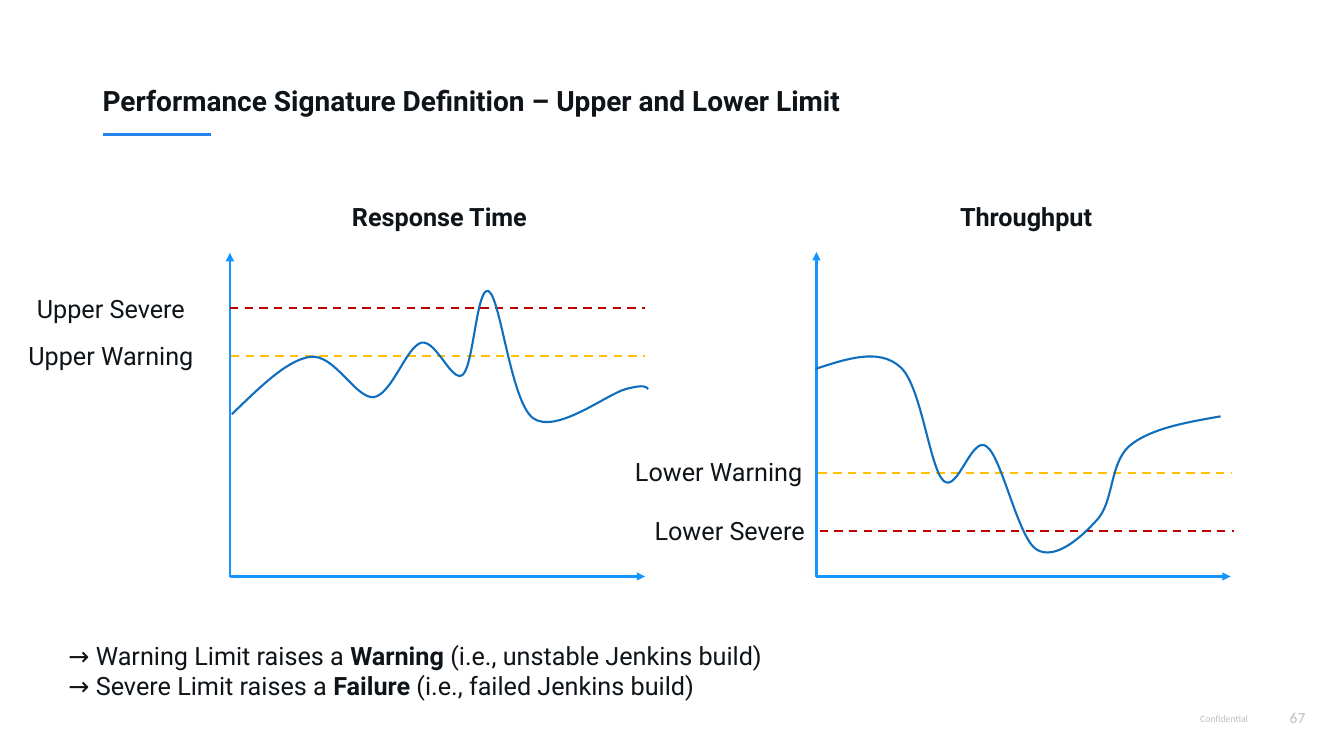
from lxml import etree
from pptx import Presentation
from pptx.dml.color import RGBColor
from pptx.enum.dml import MSO_LINE
from pptx.enum.shapes import MSO_CONNECTOR
from pptx.enum.text import MSO_ANCHOR, PP_ALIGN
from pptx.oxml.ns import qn
from pptx.util import Pt

STRAIGHT = MSO_CONNECTOR.STRAIGHT
DASH = MSO_LINE.DASH
BOTTOM, TOP = MSO_ANCHOR.BOTTOM, MSO_ANCHOR.TOP
LEFT, CENTER, RIGHT = PP_ALIGN.LEFT, PP_ALIGN.CENTER, PP_ALIGN.RIGHT
INK, GRAY, ACCENT, AXIS = "0F1419", "BFBFBF", "2583EE", "1495FF"
WARNING, SEVERE, CURVE = "FFC000", "C00000", "0F6EBD"


def add_text(box, lines, size, align=CENTER, color=INK, font="Roboto",
             bold=None, spacing=None, anchor=TOP):
    """Write lines, each a list of (text, bold) runs, in a box of points."""
    frame = slide.shapes.add_textbox(*map(Pt, box)).text_frame
    frame.word_wrap = True
    frame.vertical_anchor = anchor
    for index, line in enumerate(lines):
        paragraph = frame.paragraphs[0] if index == 0 else frame.add_paragraph()
        paragraph.alignment = align
        paragraph.line_spacing = spacing
        paragraph.font.name = font
        paragraph.font.size = Pt(size)
        paragraph.font.bold = bold
        paragraph.font.color.rgb = RGBColor.from_string(color)
        for text, emphasis in line:
            run = paragraph.add_run()
            run.text = text
            if emphasis:
                run.font.bold = True


def add_line(start, end, color, width=1.5, dash=None, arrow=False):
    line = slide.shapes.add_connector(STRAIGHT, *map(Pt, start + end))
    line.line.color.rgb = RGBColor.from_string(color)
    line.line.width = Pt(width)
    if dash:
        line.line.dash_style = dash
    if arrow:
        etree.SubElement(line.line._get_or_add_ln(), qn("a:tailEnd"), type="triangle")
    etree.SubElement(line._element.spPr, qn("a:effectLst"))


prs = Presentation()
prs.slide_width, prs.slide_height = Pt(960), Pt(540)
slide = prs.slides.add_slide(prs.slide_layouts[6])

add_line((73.5, 96), (150.5, 96), ACCENT, width=2.25)
add_text((808.5, 504, 90, 16.5), [[("Confidential", False)]], 7,
         RIGHT, GRAY, "Calibri", spacing=1.2)
add_text((911, 499.5, 28.5, 22.5), [[("67", False)]], 11,
         RIGHT, GRAY, "Calibri", spacing=1.2)
add_text((66.2, 28.8, 766.8, 58.3),
         [[("Performance Signature Definition – Upper and Lower Limit", False)]],
         20, LEFT, bold=True, spacing=1.2, anchor=BOTTOM)

# Limits: label, label left and top, line start, line end, line height, colour.
# Curve: start point, then two control points and an end point per segment.
charts = [
    ("Response Time", 240.5, 164.2, 460.8, 180.7,
     [("Upper Warning", 5.8, 239.8, 165, 460.8, 254.5, WARNING),
      ("Upper Severe", 5.8, 205.9, 164.2, 460.8, 220.3, SEVERE)],
     [(165.6, 295.9),
      (185.8, 276.5), (205.2, 257), (221.8, 254.9),
      (239, 252.7), (254.2, 285.1), (267.1, 283.7),
      (280.1, 281.5), (290.2, 247.7), (301, 244.8),
      (311.8, 242.6), (322.6, 273.6), (330.5, 267.8),
      (338.4, 261.4), (340.6, 203), (349.2, 208.1),
      (357.8, 213.8), (365, 287.3), (380.9, 298.8),
      (397.4, 310.3), (433.4, 281.5), (447.1, 277.9),
      (460.8, 274.3), (461.5, 276.5), (463, 277.9)]),
    ("Throughput", 659.5, 583.2, 879.1, 180,
     [("Lower Warning", 439.9, 322.6, 584.6, 879.8, 337.7, WARNING),
      ("Lower Severe", 447.8, 364.3, 585.4, 881.3, 379.4, SEVERE)],
     [(582.5, 263.5),
      (604.8, 256.3), (627.8, 248.4), (643, 262.1),
      (658.1, 275), (663.8, 333.4), (673.9, 343.4),
      (684, 352.8), (694.1, 310.3), (704.9, 319),
      (715.7, 326.9), (727.2, 383.8), (740.2, 392.4),
      (753.8, 401), (773.3, 383), (784.1, 370.8),
      (795.6, 357.8), (792.7, 330.5), (807.1, 318.2),
      (822.2, 306), (847.4, 301.7), (871.9, 297.4)]),
]
BASELINE = 411.8
LABEL_SIZE = (146.9, 29)

for title, title_left, axis_left, axis_right, axis_top, limits, points in charts:
    origin = (axis_left, BASELINE)
    add_line(origin, (axis_left, axis_top), AXIS, arrow=True)
    add_line(origin, (axis_right, BASELINE), AXIS, arrow=True)
    add_text((title_left, 140.4) + LABEL_SIZE, [[(title, False)]], 18, bold=True)
    for label, left, top, start, end, height, color in limits:
        add_line((start, height), (end, height), color, dash=DASH)
        add_text((left, top) + LABEL_SIZE, [[(label, False)]], 18)

    emu_points = [(Pt(x), Pt(y)) for x, y in points]
    builder = slide.shapes.build_freeform(*emu_points[0])
    builder.add_line_segments(emu_points[1:], close=False)
    curve = builder.convert_to_shape()
    curve.shadow.inherit = False
    curve.fill.background()
    curve.line.color.rgb = RGBColor.from_string(CURVE)
    curve.line.width = Pt(1.5)
    # Turn each run of three straight segments into one Bézier segment.
    outline = next(curve._element.iter(qn("a:path")))
    segments = outline.findall(qn("a:lnTo"))
    for first in range(0, len(segments), 3):
        bezier = etree.SubElement(outline, qn("a:cubicBezTo"))
        for segment in segments[first:first + 3]:
            bezier.append(segment[0])
            outline.remove(segment)

add_text((41.8, 453.6, 704.2, 51),
         [[("→ Warning Limit raises a ", False), ("Warning ", True),
           ("(i.e., unstable Jenkins build)", False)],
          [("→ Severe Limit raises a ", False), ("Failure", True),
           (" (i.e., failed Jenkins build)", False)]], 18, LEFT)

prs.save("out.pptx")
